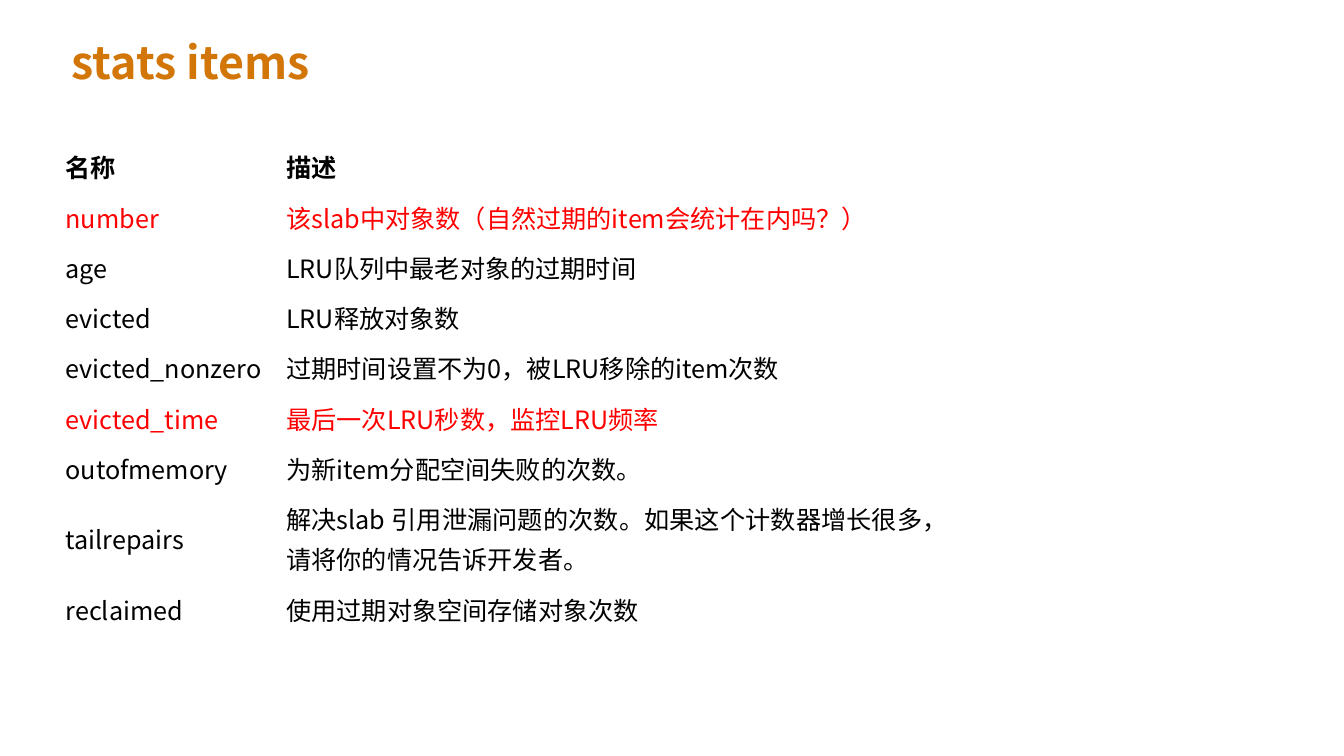
import dataclasses
import typing

import lxml.etree
import pptx
import pptx.dml.color
import pptx.enum.text
import pptx.oxml.ns
import pptx.util

Pt = pptx.util.Pt
FACE = "Noto Sans CJK SC"
BLACK, RED, ORANGE, WHITE = "000000", "FF0000", "D17607", "FFFFFF"

FRAME = {
    "word_wrap": True,
    "vertical_anchor": pptx.enum.text.MSO_ANCHOR.BOTTOM,
    "margin_left": Pt(7.2),
    "margin_right": Pt(7.2),
    "margin_top": Pt(3.6),
    "margin_bottom": Pt(3.6),
}
CELL = {
    "vertical_anchor": pptx.enum.text.MSO_ANCHOR.MIDDLE,
    "margin_left": Pt(3),
    "margin_right": Pt(3),
    "margin_top": Pt(3.6),
    "margin_bottom": Pt(3.6),
}
PLAIN = {"first_row": False, "horz_banding": False}


@dataclasses.dataclass
class Row:
    name: str
    note: str
    color: str = BLACK
    bold: bool = False
    high: float = 35.9


ROWS = [
    Row("名称", "描述", bold=True),
    Row("number", "该slab中对象数（自然过期的item会统计在内吗？）", RED),
    Row("age", "LRU队列中最老对象的过期时间"),
    Row("evicted", "LRU释放对象数"),
    Row("evicted_nonzero", "过期时间设置不为0，被LRU移除的item次数"),
    Row("evicted_time", "最后一次LRU秒数，监控LRU频率", RED),
    Row("outofmemory", "为新item分配空间失败的次数。"),
    Row("tailrepairs", "解决slab 引用泄漏问题的次数。如果这个计数器增长很多，请将你的情况告诉开发者。", high=64.6),
    Row("reclaimed", "使用过期对象空间存储对象次数"),
]
WIDTHS = [157.7, 478.8]


def style(item: typing.Any, values: dict[str, typing.Any]) -> None:
    for key, value in values.items():
        setattr(item, key, value)


def rgb(code: str) -> pptx.dml.color.RGBColor:
    return pptx.dml.color.RGBColor.from_string(code)


def write(frame: typing.Any, text: str, size: float, color: str, bold: bool,
          form: dict[str, typing.Any]) -> None:
    para = frame.paragraphs[0]
    style(para, form)
    # Keep punctuation inside the margin
    para._p.get_or_add_pPr().set("hangingPunct", "0")
    run = para.add_run()
    run.text = text
    style(run.font, {"name": FACE, "size": Pt(size), "bold": bold})
    run.font.color.rgb = rgb(color)
    # East Asian typeface
    east = lxml.etree.SubElement(run.font._element, pptx.oxml.ns.qn("a:ea"))
    east.set("typeface", FACE)


def edge(cell: typing.Any) -> None:
    props = cell._tc.get_or_add_tcPr()
    for spot, side in enumerate(("lnL", "lnR", "lnT", "lnB")):
        line = props.makeelement(pptx.oxml.ns.qn(f"a:{side}"), {"w": str(int(Pt(0.45)))})
        fill = lxml.etree.SubElement(line, pptx.oxml.ns.qn("a:solidFill"))
        lxml.etree.SubElement(fill, pptx.oxml.ns.qn("a:srgbClr"), {"val": WHITE})
        props.insert(spot, line)


def title(slide: typing.Any) -> None:
    box = slide.shapes.add_textbox(Pt(44), Pt(12), Pt(870.5), Pt(55.4))
    style(box.text_frame, FRAME)
    write(box.text_frame, "stats items", 32, ORANGE, True, {"line_spacing": 0.9})


def grid(slide: typing.Any) -> None:
    high = sum(row.high for row in ROWS)
    table = slide.shapes.add_table(len(ROWS), len(WIDTHS), Pt(43.9), Pt(100),
                                   Pt(sum(WIDTHS)), Pt(high)).table
    style(table, PLAIN)
    for col, width in zip(table.columns, WIDTHS):
        col.width = Pt(width)
    form = {"alignment": pptx.enum.text.PP_ALIGN.JUSTIFY, "line_spacing": 1.1}
    for line, row in zip(table.rows, ROWS):
        line.height = Pt(row.high)
        for cell, text in zip(line.cells, (row.name, row.note)):
            style(cell, CELL)
            cell.fill.background()
            edge(cell)
            write(cell.text_frame, text, 18, row.color, row.bold, form)


def main() -> None:
    deck = pptx.Presentation()
    style(deck, {"slide_width": Pt(960.5), "slide_height": Pt(540)})
    slide = deck.slides.add_slide(deck.slide_layouts[6])
    # Heading
    title(slide)
    # Table of counters
    grid(slide)
    deck.save("out.pptx")


if __name__ == "__main__":
    main()
